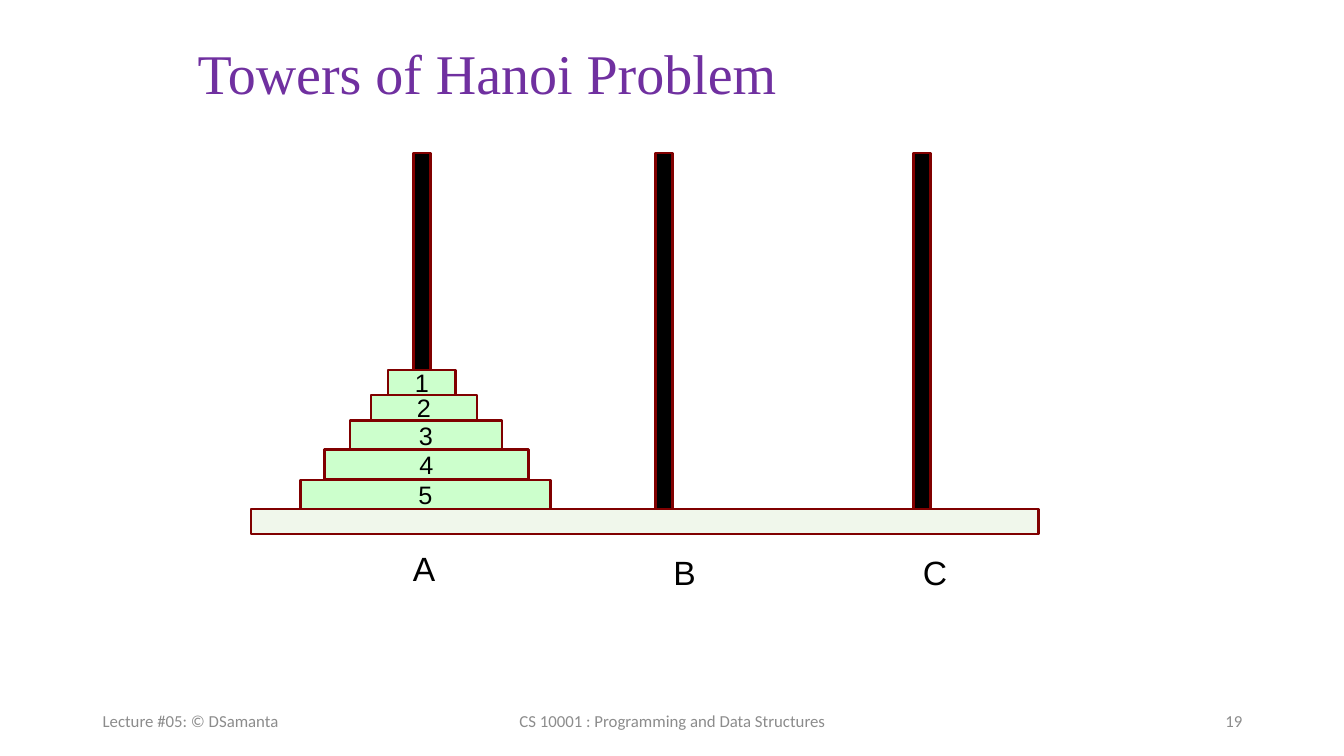
from pptx import Presentation
from pptx import util as u
from pptx.dml.color import RGBColor
from pptx.enum import shapes, text
from pptx.oxml import parse_xml
from pptx.oxml.ns import nsdecls, qn

COLORS = {"title": "7030A0", "footer": "8C8C8C", "ink": "000000", "peg": "000000",
          "edge": "800000", "disk": "CCFFCC", "board": "E2F0D9"}
ALIGN = text.PP_ALIGN
ANCHOR = text.MSO_ANCHOR


def write(shape, words, size, font, color, align=ALIGN.CENTER,
          anchor=ANCHOR.MIDDLE, wrap=True, spacing=None):
    """Put one formatted paragraph into a shape."""
    frame = shape.text_frame
    frame.auto_size = text.MSO_AUTO_SIZE.NONE
    frame.word_wrap = wrap
    frame.vertical_anchor = anchor
    para = frame.paragraphs[0]
    para.alignment = align
    para.line_spacing = spacing
    span = para.add_run()
    span.text = words
    span.font.size = u.Pt(size)
    span.font.name = font
    span.font.color.rgb = RGBColor.from_string(COLORS[color])


def inches(*lengths):
    return [u.Inches(length) for length in lengths]


def add_bar(slide, box, fill, opacity=None):
    """Outlined rectangle used for pegs, disks and the board."""
    bar = slide.shapes.add_shape(shapes.MSO_SHAPE.RECTANGLE, *inches(*box))
    bar.shadow.inherit = False
    bar.fill.solid()
    bar.fill.fore_color.rgb = RGBColor.from_string(COLORS[fill])
    bar.line.color.rgb = RGBColor.from_string(COLORS["edge"])
    bar.line.width = u.Pt(1.75)
    if opacity is not None:
        color = bar.fill._xPr.find(qn("a:solidFill"))[0]
        color.append(parse_xml(f'<a:alpha {nsdecls("a")} val="{opacity * 1000}"/>'))
    return bar


def add_title(slide, box, words):
    title = slide.shapes.title
    title.left, title.top, title.width, title.height = inches(*box)
    write(title, words, 40, "Times New Roman", "title", align=ALIGN.LEFT, spacing=0.9)


def add_towers(slide, box):
    """Pegs, board and the stack of disks on the first peg."""
    left, top, width, height = box
    board_height, peg_width = 0.25, 0.17
    board_top = top + height - board_height

    # Pegs and board
    for offset in (1.61, 4.01, 6.57):
        add_bar(slide, (left + offset, top, peg_width, board_top - top), "peg")
    add_bar(slide, (left, board_top, width, board_height), "board", opacity=50)

    # Disks, stacked from the board upwards: number, offset, width, height
    disk_top = board_top
    for number, offset, disk_width, disk_height in (
            (5, 0.49, 2.48, 0.29), (4, 0.73, 2.02, 0.3), (3, 0.98, 1.51, 0.29),
            (2, 1.19, 1.05, 0.25), (1, 1.36, 0.67, 0.25)):
        disk_top -= disk_height
        disk = add_bar(slide, (left + offset, disk_top, disk_width, disk_height), "disk")
        write(disk, str(number), 18, "Arial", "ink", wrap=False)


def add_peg_names(slide, box):
    left, top, _, height = box
    for name, offset, drop, width in (
            ("A", 0, 0, 1.05), ("B", 2.1, 0.04, 2.02), ("C", 4.88, 0.04, 1.43)):
        label = slide.shapes.add_textbox(*inches(left + offset, top + drop, width, height))
        write(label, name, 24, "Arial", "ink", anchor=ANCHOR.TOP)


def add_footer(slide, box):
    """Lecture at the left, course in the middle, page number at the right."""
    left, top, width, height = box
    side, middle = 3, 4.5
    for words, offset, part, align in (
            ("Lecture #05: © DSamanta", 0, side, ALIGN.LEFT),
            ("CS 10001 : Programming and Data Structures",
             (width - middle) / 2, middle, ALIGN.CENTER),
            ("19", width - side, side, ALIGN.RIGHT)):
        label = slide.shapes.add_textbox(*inches(left + offset, top, part, height))
        write(label, words, 12, "Calibri", "footer", align=align)


deck = Presentation()
deck.slide_width, deck.slide_height = inches(13.33, 7.5)
page = deck.slides.add_slide(deck.slide_layouts[5])
add_title(page, (1.86, 0.21, 9.53, 1.1), "Towers of Hanoi Problem")
add_towers(page, (2.49, 1.52, 7.81, 3.78))
add_peg_names(page, (3.68, 5.39, 6.31, 0.5))
add_footer(page, (0.92, 6.95, 11.5, 0.4))
deck.save("out.pptx")
